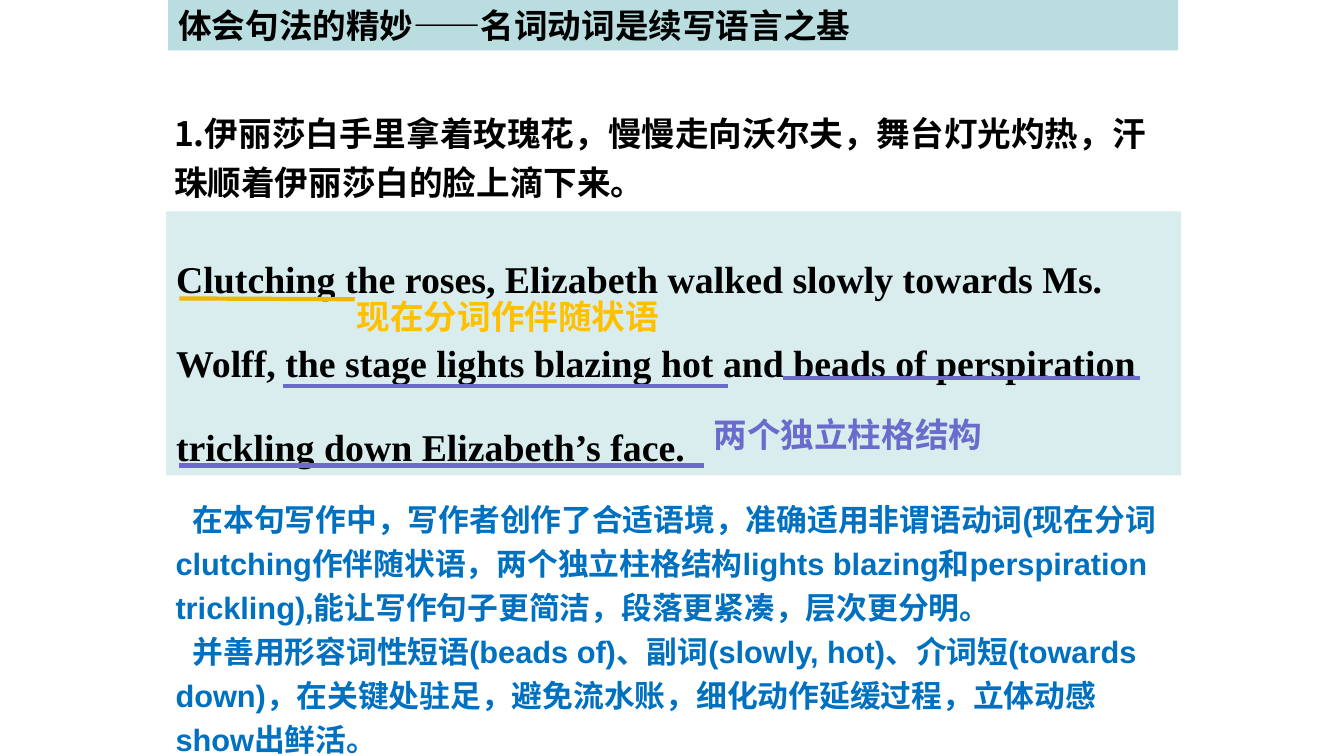
from lxml import etree
from pptx import Presentation
from pptx import util as u
from pptx.dml.color import RGBColor
from pptx.enum import shapes, text
from pptx.oxml.ns import qn

HUES = {"ink": "000000", "head": "BADEE0", "panel": "D9EDEE", "gold": "F0B500",
        "amber": "FFC000", "violet": "6B6BCE", "blue": "0070C0"}
HAN = "Noto Sans CJK SC"


class Page:
    """Holds the text style and the current slide, and adds its elements."""

    def __init__(self, deck):
        self.slide = deck.slides.add_slide(deck.slide_layouts[1])

    def hue(self, name):
        return RGBColor.from_string(HUES[name])

    def place(self, item, box):
        item.left, item.top, item.width, item.height = map(u.Cm, box)

    def paint(self, item, name):
        item.fill.solid()
        item.fill.fore_color.rgb = self.hue(name)

    def letter(self, item, words, size, hue="ink", face="Arial", lead=None,
               indent=0, wrap=True, anchor=text.MSO_ANCHOR.TOP):
        frame = item.text_frame
        frame.text = words
        frame.word_wrap = wrap
        frame.auto_size = text.MSO_AUTO_SIZE.NONE
        frame.vertical_anchor = anchor
        for para in frame.paragraphs:
            props = para._p.get_or_add_pPr()
            props.set("marL", "0")
            props.set("indent", str(u.Cm(indent)))
            etree.SubElement(props, qn("a:buNone"))
            para.alignment = text.PP_ALIGN.LEFT
            para.space_before = u.Pt(0)
            if lead:
                para.line_spacing = u.Pt(lead)
            for run in para.runs:
                font = run.font
                font.size, font.bold, font.name = u.Pt(size), True, face
                font.color.rgb = self.hue(hue)
                etree.SubElement(run._r.get_or_add_rPr(), qn("a:ea"), typeface=HAN)

    def title(self, words, box):
        item = self.slide.shapes.title
        self.place(item, box)
        self.paint(item, "head")
        self.letter(item, words, 24, anchor=text.MSO_ANCHOR.MIDDLE)

    def body(self, words, box):
        item = self.slide.placeholders[1]
        self.place(item, box)
        self.letter(item, words, 22, "blue", lead=31.4, indent=0.43)

    def panel(self, words, box):
        item = self.slide.shapes.add_shape(shapes.MSO_SHAPE.RECTANGLE, *map(u.Cm, box))
        item.shadow.inherit = False
        item.line.fill.background()
        self.paint(item, "panel")
        self.letter(item, words, 27, face="Times New Roman", lead=59.8,
                    anchor=text.MSO_ANCHOR.MIDDLE)

    def label(self, words, box, **style):
        item = self.slide.shapes.add_textbox(*map(u.Cm, box))
        self.letter(item, words, 24, **style)

    def rule(self, ends, hue):
        item = self.slide.shapes.add_connector(
            shapes.MSO_CONNECTOR.STRAIGHT, *map(u.Cm, ends))
        item.line.color.rgb = self.hue(hue)
        item.line.width = u.Pt(3)
        etree.SubElement(item._element.spPr, qn("a:effectLst"))


def main():
    deck = Presentation()
    deck.slide_width, deck.slide_height = u.Cm(33.87), u.Cm(19.05)
    page = Page(deck)
    page.title("体会句法的精妙——名词动词是续写语言之基", (4.24, 0, 25.45, 1.27))
    page.label("1.伊丽莎白手里拿着玫瑰花，慢慢走向沃尔夫，舞台灯光灼热，汗珠顺着伊丽莎白的脸上滴下来。",
               (4.14, 2.51, 25.45, 2.72), face=HAN, lead=34.8)
    page.panel("Clutching the roses, Elizabeth walked slowly towards Ms. Wolff, "
               "the stage lights blazing hot and beads of perspiration "
               "trickling down Elizabeth’s face.", (4.19, 5.33, 25.58, 6.65))
    page.rule((4.52, 7.52, 8.94, 7.54), "gold")
    for left, right, top in ((7.14, 18.34, 9.73), (19.74, 28.73, 9.53),
                             (4.52, 17.73, 11.73)):
        page.rule((left, top, right, top), "violet")
    page.label("现在分词作伴随状语", (8.74, 7.32, 8.15, 1.27), hue="amber", wrap=False)
    page.label("两个独立柱格结构", (17.73, 10.31, 7.32, 1.27), hue="violet", wrap=False)
    page.body("在本句写作中，写作者创作了合适语境，准确适用非谓语动词(现在分词clutching作伴随状语，"
              "两个独立柱格结构lights blazing和perspiration trickling),"
              "能让写作句子更简洁，段落更紧凑，层次更分明。\n"
              "并善用形容词性短语(beads of)、副词(slowly, hot)、介词短(towards down)，"
              "在关键处驻足，避免流水账，细化动作延缓过程，立体动感show出鲜活。",
              (4.17, 12.32, 25.6, 6.73))
    deck.save("out.pptx")


if __name__ == "__main__":
    main()
